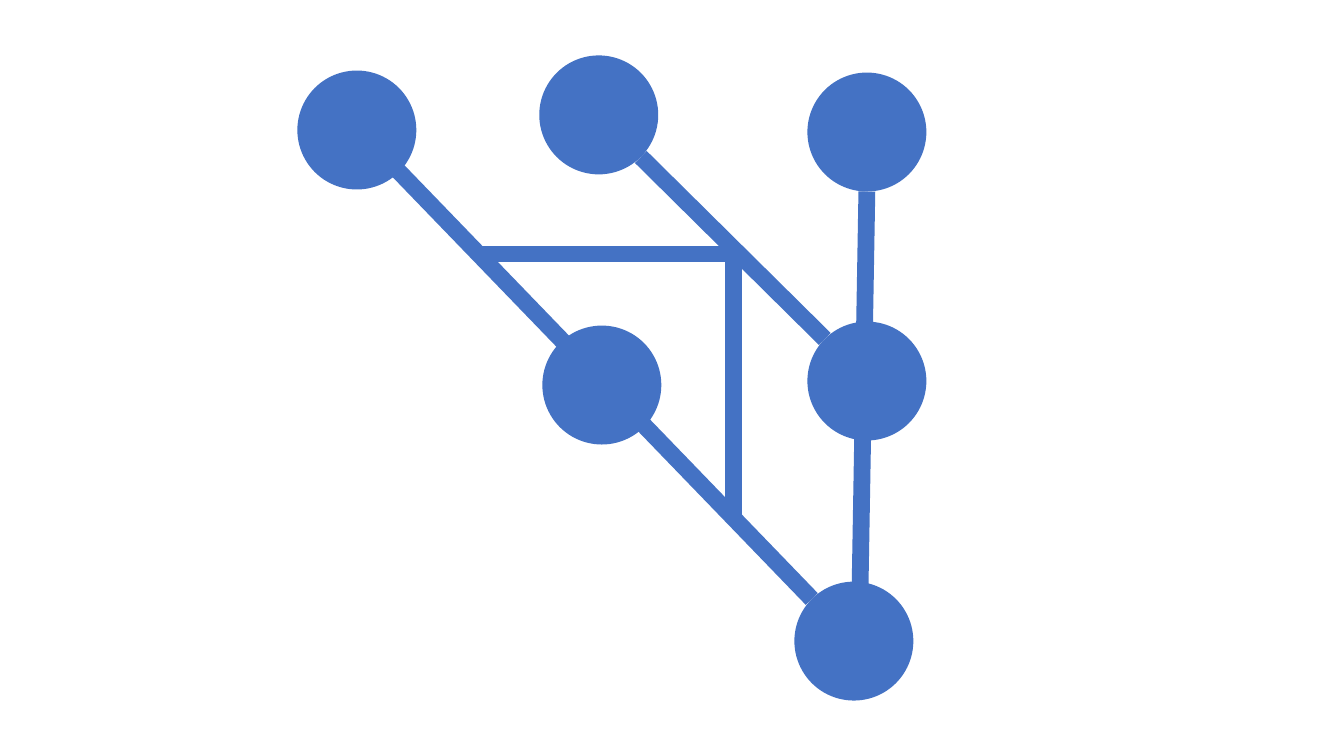
from dataclasses import dataclass
from math import cos, radians, sin

from lxml.etree import SubElement
from pptx import Presentation
from pptx.dml.color import RGBColor
from pptx.enum.shapes import MSO_CONNECTOR, MSO_SHAPE
from pptx.oxml.ns import qn
from pptx.util import Inches, Pt

# Node centres, in percent of slide width and height
NODES = {
    "top left": (26.55, 17.2),
    "top middle": (44.55, 15.2),
    "top right": (64.5, 17.47),
    "centre": (44.78, 50.93),
    "right": (64.5, 50.4),
    "bottom": (63.53, 84.8),
}

# Link ends: (node, clockwise angle on its rim) or a free point in percent
LINKS = [
    (("bottom", 225), (28.65, 20.8)),
    (("top right", 90), (63.98, 79.2)),
    (("top middle", 45), ("right", 225)),
    (("centre bar", 0), ("centre bar", 1)),
    (("top bar", 0), ("top bar", 1)),
]

# Bars that join the diagonals
BARS = {
    "centre bar": [(54.6, 68.67), (54.6, 34.53)],
    "top bar": [(35.4, 33.6), (54.6, 33.6)],
}


@dataclass(frozen=True)
class Theme:
    blue: RGBColor = RGBColor(0x44, 0x72, 0xC4)
    link_width: int = Pt(12)
    node_size: int = Inches(1.18)


THEME = Theme()
SLIDE_WIDTH, SLIDE_HEIGHT = Inches(13.33), Inches(7.5)


def place(share):
    """Turn percent of the slide into lengths."""
    return SLIDE_WIDTH * share[0] / 100, SLIDE_HEIGHT * share[1] / 100


def link_end(end):
    """Find a link end on a bar, on a node's rim or at a free point."""
    anchor, position = end
    if anchor in BARS:
        return place(BARS[anchor][position])
    if anchor in NODES:
        x, y = place(NODES[anchor])
        radius, angle = THEME.node_size / 2, radians(position)
        return x + radius * cos(angle), y + radius * sin(angle)
    return place(end)


def add_node(shapes, centre):
    x, y = place(centre)
    size = THEME.node_size
    node = shapes.add_shape(MSO_SHAPE.OVAL, int(x - size / 2),
                            int(y - size / 2), size, size)
    node.shadow.inherit = False
    node.fill.solid()
    node.fill.fore_color.rgb = THEME.blue
    node.line.fill.background()


def add_link(shapes, start, finish):
    ends = [int(length) for end in (start, finish) for length in link_end(end)]
    link = shapes.add_connector(MSO_CONNECTOR.STRAIGHT, *ends)
    link.line.color.rgb = THEME.blue
    link.line.width = THEME.link_width
    SubElement(link._element.spPr, qn("a:effectLst"))


def main():
    deck = Presentation()
    deck.slide_width, deck.slide_height = SLIDE_WIDTH, SLIDE_HEIGHT
    slide = deck.slides.add_slide(deck.slide_layouts[6])

    # The network is one group
    network = slide.shapes.add_group_shape().shapes
    for centre in NODES.values():
        add_node(network, centre)
    for start, finish in LINKS:
        add_link(network, start, finish)

    deck.save("out.pptx")


if __name__ == "__main__":
    main()
